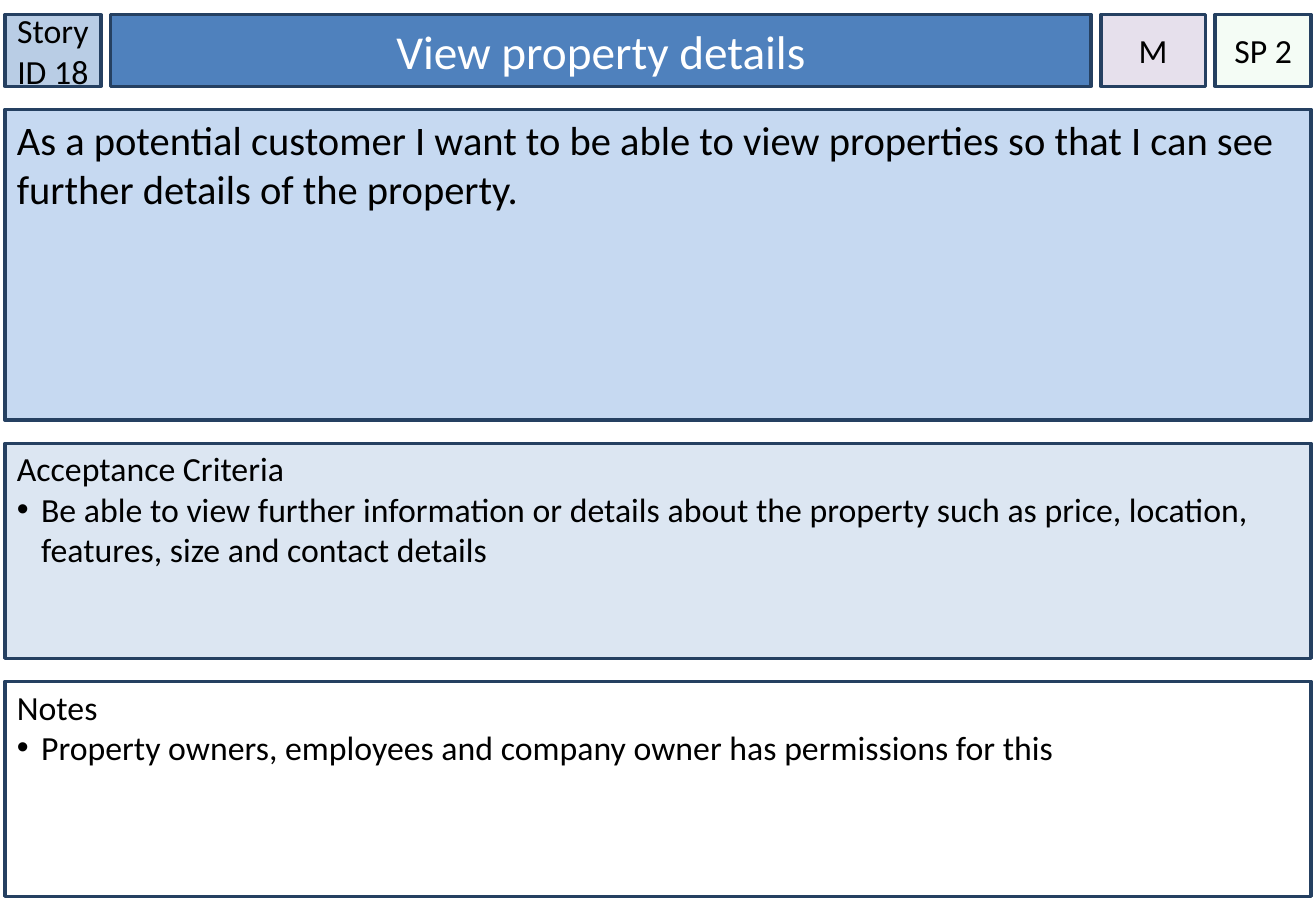
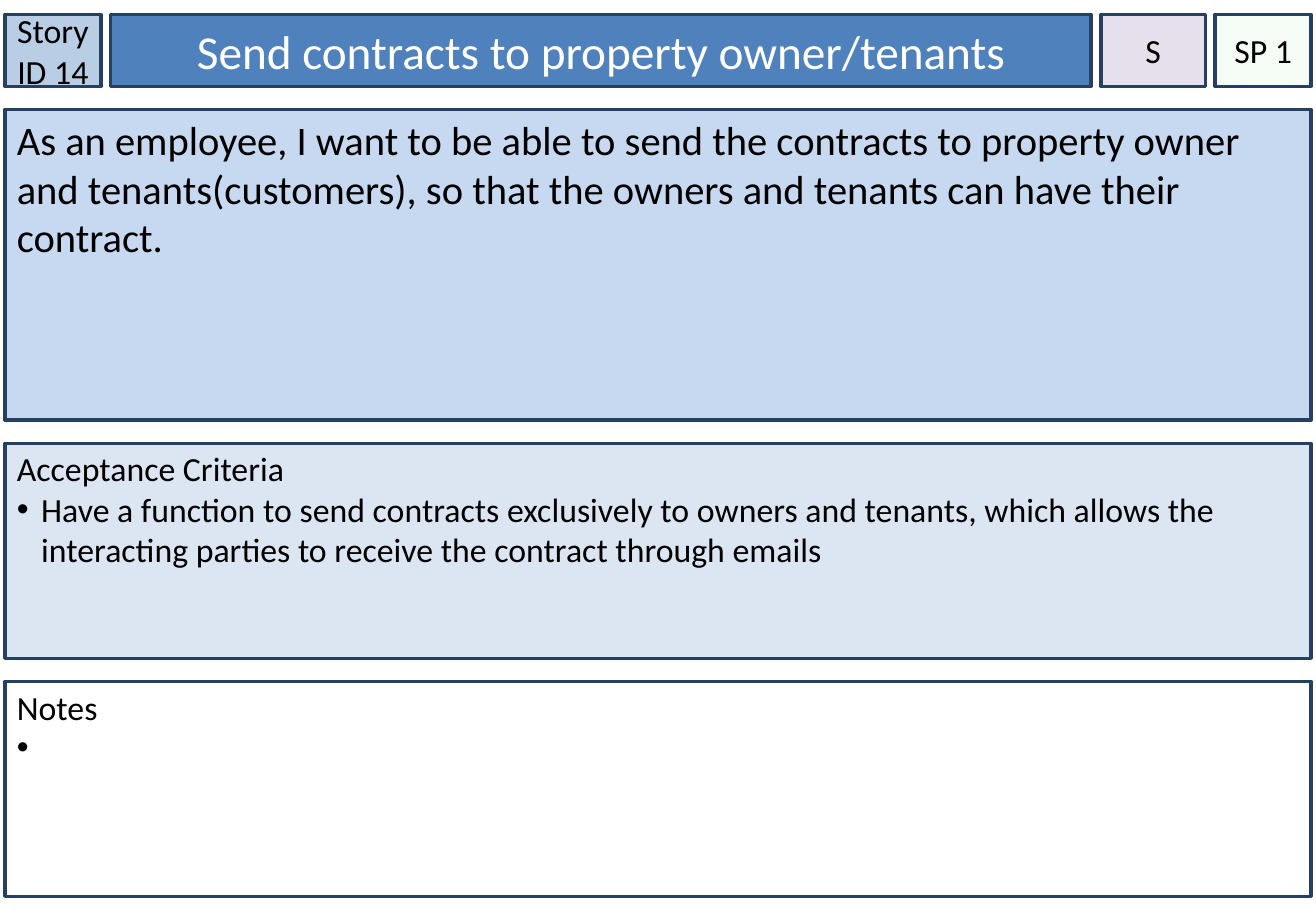
"""Builds user story cards, one card a slide."""
from dataclasses import dataclass

from lxml import etree
from pptx import Presentation
from pptx.dml.color import RGBColor
from pptx.enum.shapes import MSO_SHAPE
from pptx.enum.text import MSO_ANCHOR, PP_ALIGN
from pptx.oxml.ns import qn
from pptx.util import Inches, Pt

RECT = MSO_SHAPE.RECTANGLE
TOP, MIDDLE = MSO_ANCHOR.TOP, MSO_ANCHOR.MIDDLE
LEFT, CENTER = PP_ALIGN.LEFT, PP_ALIGN.CENTER


@dataclass(frozen=True)
class Theme:
    font: str = "Calibri"
    ink: str = "000000"
    light: str = "FFFFFF"
    edge: str = "254061"
    badge: str = "B9CDE5"
    title: str = "4F81BD"
    rank: str = "E6E0EC"
    points: str = "CCF0CD"
    story: str = "C6D9F1"
    tests: str = "DCE6F2"
    notes: str = "FFFFFF"
    small: int = 20
    large: int = 24
    huge: int = 28
    border: int = 2


class Deck:
    def __init__(self, theme):
        self.theme = theme
        self.show = Presentation()
        self.show.slide_width = Inches(10.83)
        self.show.slide_height = Inches(7.5)
        self.slide = None

    def page(self):
        self.slide = self.show.slides.add_slide(self.show.slide_layouts[6])

    def box(self, area, fill, **frame):
        shape = self.slide.shapes.add_shape(RECT, *map(Inches, area))
        shape.shadow.inherit = False
        shape.fill.solid()
        shape.fill.fore_color.rgb = RGBColor.from_string(fill)
        shape.line.color.rgb = RGBColor.from_string(self.theme.edge)
        shape.line.width = Pt(self.theme.border)
        style = {"word_wrap": True, "vertical_anchor": TOP, **frame}
        for name, value in style.items():
            setattr(shape.text_frame, name, value)
        return shape

    def words(self, para, text, size, color=None, align=LEFT):
        para.alignment = align
        run = para.add_run()
        run.text = text
        style = {"name": self.theme.font, "size": Pt(size)}
        for name, value in style.items():
            setattr(run.font, name, value)
        run.font.color.rgb = RGBColor.from_string(color or self.theme.ink)

    def label(self, area, fill, text, **frame):
        style = {"vertical_anchor": MIDDLE, "margin_left": 0, "margin_right": 0}
        shape = self.box(area, fill, **{**style, **frame})
        self.words(shape.text_frame.paragraphs[0], text, self.theme.small, align=CENTER)
        return shape

    def title(self, area, text):
        shape = self.box(area, self.theme.title, vertical_anchor=MIDDLE)
        self.words(shape.text_frame.paragraphs[0], text, self.theme.huge, self.theme.light, CENTER)

    def story(self, area, text):
        shape = self.box(area, self.theme.story)
        self.words(shape.text_frame.paragraphs[0], text, self.theme.large)

    def panel(self, area, fill, head, item):
        text = self.box(area, fill, margin_top=Inches(0.04)).text_frame
        self.words(text.paragraphs[0], head, self.theme.small)
        para = text.add_paragraph()
        self.words(para, item, self.theme.small)
        self.bullet(para)

    def bullet(self, para):
        props = para._p.get_or_add_pPr()
        indent = Inches(0.2)
        for name, value in {"marL": indent, "indent": -indent}.items():
            props.set(name, str(value))
        etree.SubElement(props, qn("a:buFont"), typeface="Arial")
        etree.SubElement(props, qn("a:buChar"), char="•")

    def fade(self, shape, percent):
        color = shape._element.spPr.find(qn("a:solidFill"))[0]
        etree.SubElement(color, qn("a:alpha"), val=str(percent * 1000))

    def card(self, number, name, rank, points, story, test, note):
        self.page()
        theme = self.theme
        badge, title, level, effort = spread(EDGE, HEAD_GAP, HEAD_WIDTHS)
        head, main, tests, notes = spread(HEAD_TOP, ROW_GAP, ROW_HEIGHTS)

        def cell(column):
            return column[0], head[0], column[1], head[1]

        def row(band):
            return EDGE, band[0], WIDTH, band[1]

        self.label(cell(badge), theme.badge, f"Story ID {number}")
        self.title(cell(title), name)
        self.story(row(main), story)
        self.panel(row(tests), theme.tests, "Acceptance Criteria", test)
        self.fade(self.label(cell(effort), theme.points, f"SP {points}"), 20)
        self.label(cell(level), theme.rank, rank, word_wrap=False)
        self.panel(row(notes), theme.notes, "Notes", note)


def spread(start, gap, sizes):
    """Return the start and size of each part, set a gap apart."""
    return [(start + sum(sizes[:i]) + gap * i, size) for i, size in enumerate(sizes)]


EDGE, WIDTH = 0.04, 10.75
HEAD_TOP, HEAD_GAP, ROW_GAP = 0.12, 0.08, 0.19
HEAD_WIDTHS = [0.79, 8.07, 0.86, 0.79]
ROW_HEIGHTS = [0.59, 2.56, 1.77, 1.77]

CARDS = [
    (18, "View property details", "M", 2,
     "As a potential customer I want to be able to view properties so that "
     "I can see further details of the property.",
     "Be able to view further information or details about the property such as "
     "price, location, features, size and contact details",
     "Property owners, employees and company owner has permissions for this"),
    (14, "Send contracts to property owner/tenants", "S", 1,
     "As an employee, I want to be able to send the contracts to property owner "
     "and tenants(customers), so that the owners and tenants can have their contract.",
     "Have a function to send contracts exclusively to owners and tenants, which "
     "allows the interacting parties to receive the contract through emails",
     " "),
]

deck = Deck(Theme())
for card in CARDS:
    deck.card(*card)
deck.show.save("out.pptx")
